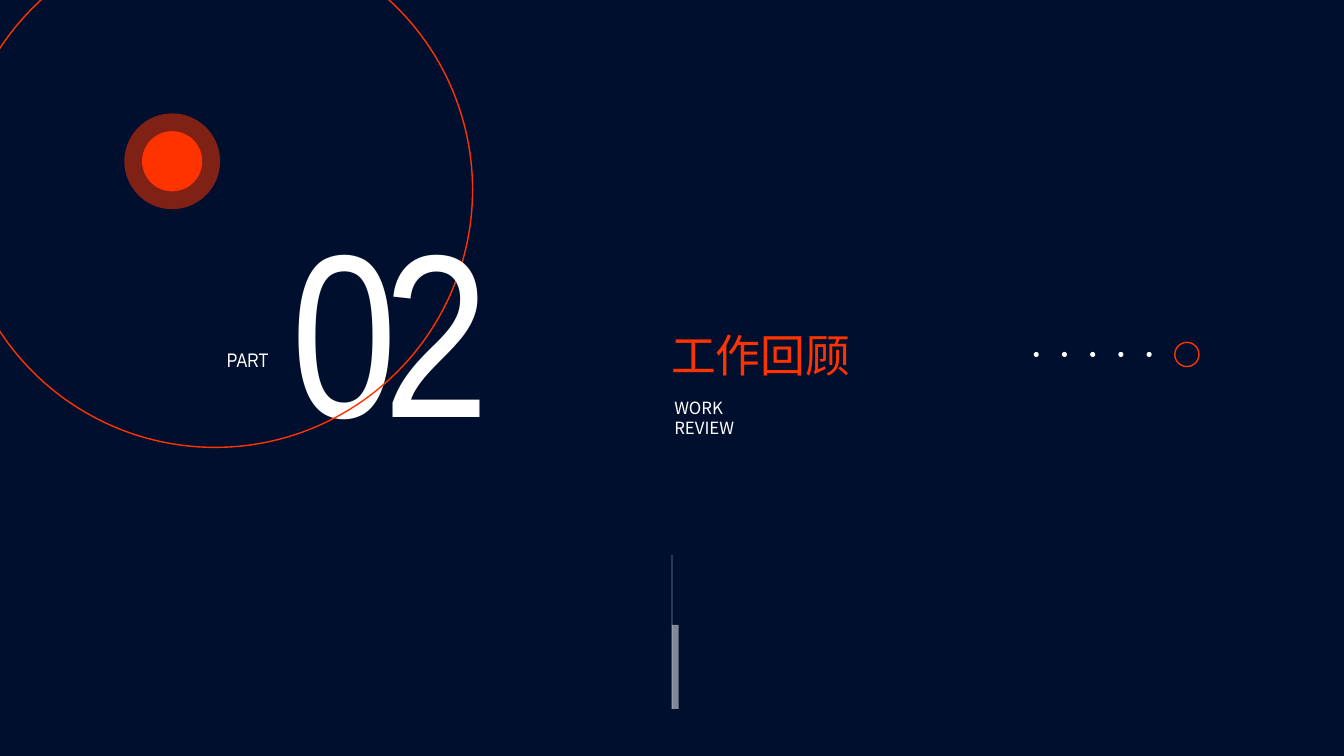
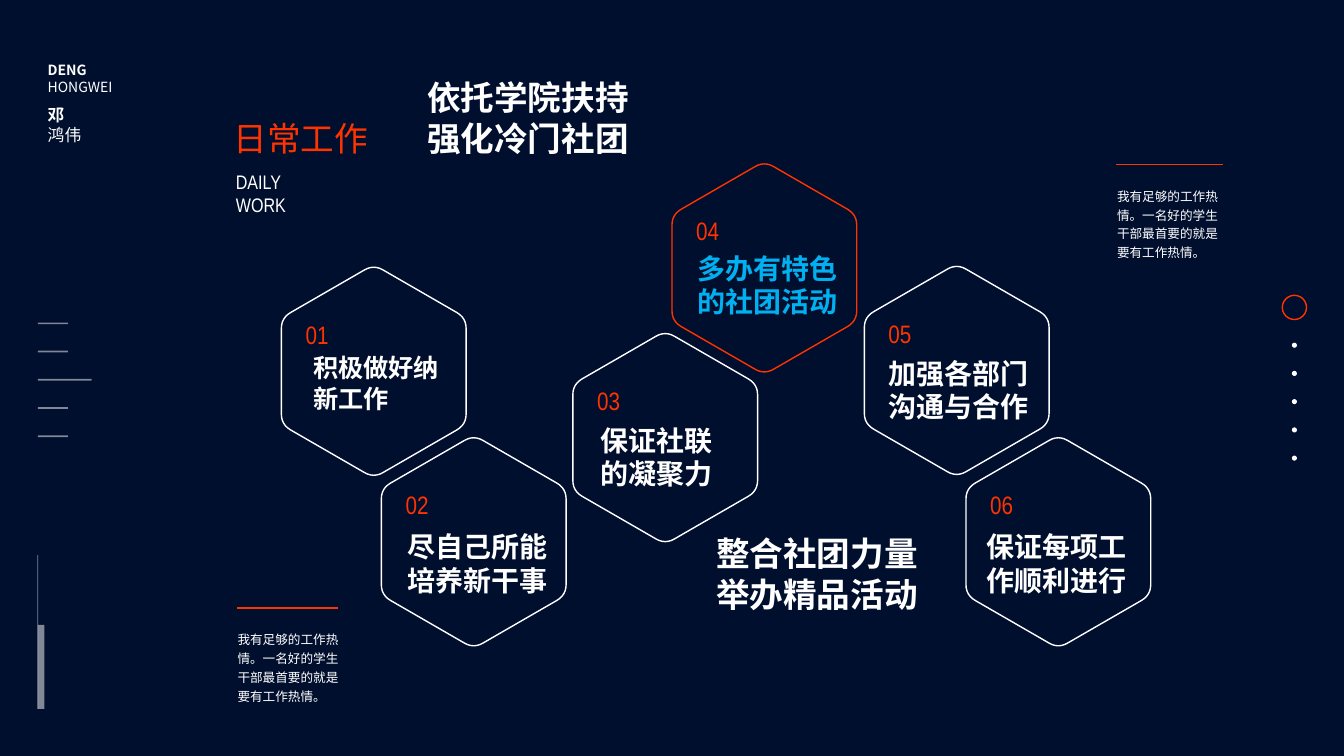
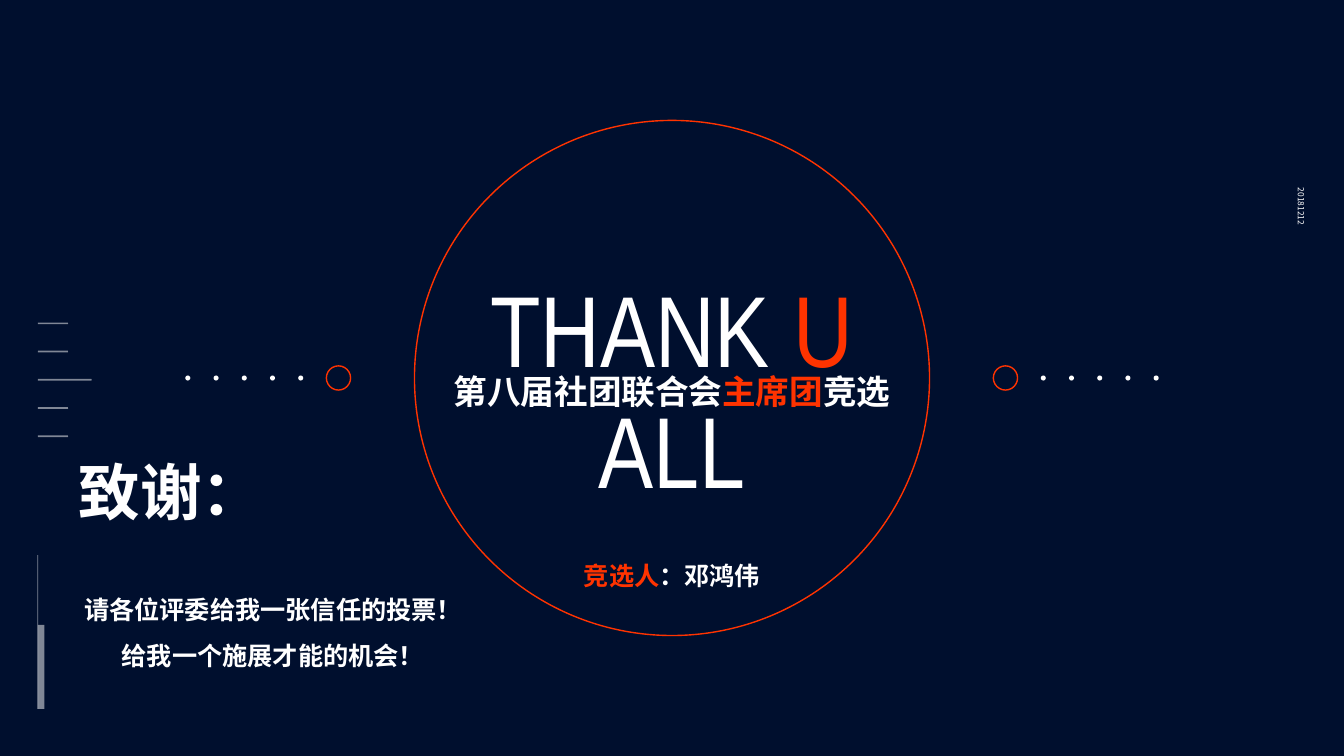
from math import cos, sin, radians

from lxml.etree import SubElement
from pptx import Presentation
from pptx.dml.color import RGBColor
from pptx.enum.shapes import MSO_CONNECTOR, MSO_SHAPE as Preset
from pptx.enum.text import MSO_ANCHOR, MSO_AUTO_SIZE, PP_ALIGN as Align
from pptx.oxml.ns import qn
from pptx.util import Emu, Pt

COLORS = {"night": "000F2E", "flame": "FF3300", "white": "FFFFFF", "sky": "00B0F0"}
SANS, NARROW = "Noto Sans CJK SC", "Arial Narrow"
COLUMNS, ROWS, CELL = 160, 90, 76200
MARGIN, TRAIL_STEP = 4.5, 3.36


def grid(*cells):
    """Turn counts of grid cells into slide lengths."""
    return [Emu(round(cell * CELL)) for cell in cells]


def rgb(name):
    """Look up a palette colour."""
    return RGBColor.from_string(COLORS[name])


def write(frame, paragraphs, size=12, font=SANS, color="white", bold=False,
          align=Align.LEFT, spacing=1, wrap=True):
    """Fill a text frame; a paragraph is a string or a list of (text, colour, bold) runs."""
    frame.word_wrap = wrap
    frame.auto_size = MSO_AUTO_SIZE.NONE
    frame.vertical_anchor = MSO_ANCHOR.TOP
    for index, content in enumerate(paragraphs):
        paragraph = frame.add_paragraph() if index else frame.paragraphs[0]
        paragraph.alignment, paragraph.line_spacing = align, spacing
        paragraph.space_before = Pt(0)
        pieces = [(content, color, bold)] if isinstance(content, str) else content
        for words, ink, weight in pieces:
            run = paragraph.add_run()
            run.text = words
            run.font.size, run.font.name, run.font.bold = Pt(size), font, weight
            run.font.color.rgb = rgb(ink)
            SubElement(run.font._element, qn("a:ea")).set("typeface", SANS)


class Deck:
    """Holds the shared style and the slide being drawn."""

    def __init__(self):
        """Open a dark wide-screen presentation."""
        self.show = Presentation()
        self.show.slide_width, self.show.slide_height = grid(COLUMNS, ROWS)
        backdrop = self.show.slide_master.background.fill
        backdrop.solid()
        backdrop.fore_color.rgb = rgb("night")

    def start(self, title, box, layout=5, **style):
        """Begin a slide with its title."""
        self.slide = self.show.slides.add_slide(self.show.slide_layouts[layout])
        self.shapes = self.slide.shapes
        self.place(self.shapes.title, box)
        write(self.shapes.title.text_frame, title, **style)

    def place(self, holder, box):
        """Move a placeholder to a grid box."""
        holder.left, holder.top, holder.width, holder.height = grid(*box)

    def body(self, lines, box, **style):
        """Put unbulleted lines in the body placeholder."""
        holder = self.slide.placeholders[1]
        self.place(holder, box)
        write(holder.text_frame, lines, **style)
        for paragraph in holder.text_frame.paragraphs:
            props = paragraph._p.get_or_add_pPr()
            props.set("marL", "0")
            props.set("indent", "0")
            SubElement(props, qn("a:buNone"))

    def text(self, lines, box, **style):
        """Add a text box."""
        frame = self.shapes.add_textbox(*grid(*box)).text_frame
        write(frame, lines, **style)
        return frame

    def fade(self, shape):
        """Make a shape's colours half transparent."""
        for tint in shape._element.iter(qn("a:srgbClr")):
            SubElement(tint, qn("a:alpha")).set("val", "50000")

    def paint(self, shape, fill=None, line=None, faded=False):
        """Set fill, outline and transparency."""
        shape.shadow.inherit = False
        if fill:
            shape.fill.solid()
            shape.fill.fore_color.rgb = rgb(fill)
        else:
            shape.fill.background()
        if line:
            shape.line.color.rgb = rgb(line)
            shape.line.width = Pt(1)
        else:
            shape.line.fill.background()
        if faded:
            self.fade(shape)

    def block(self, preset, box, **look):
        """Add a preset shape."""
        self.paint(self.shapes.add_shape(preset, *grid(*box)), **look)

    def circle(self, x, y, radius, **look):
        """Add a circle around a centre."""
        self.block(Preset.OVAL, (x - radius, y - radius, 2 * radius, 2 * radius), **look)

    def rule(self, start, end, color="flame", width=1, faded=False):
        """Add a straight line."""
        line = self.shapes.add_connector(MSO_CONNECTOR.STRAIGHT, *grid(*start, *end))
        line.line.color.rgb = rgb(color)
        line.line.width = Pt(width)
        SubElement(line._element.spPr, qn("a:effectLst"))
        if faded:
            self.fade(line)

    def orbit(self, x, y):
        """Add the large thin ring."""
        self.circle(x, y, 30.66, line="flame")

    def trail(self, x, y, across=0, down=0):
        """Add a small ring followed by five dots in one direction."""
        self.circle(x, y, 1.44, line="flame")
        for step in range(5):
            reach = 4.5 + step * TRAIL_STEP
            self.circle(x + across * reach, y + down * reach, 0.3, fill="white")

    def gauge(self, x):
        """Add the scroll mark near the bottom."""
        self.rule((x, 66.1), (x, 84.4), "white", 0.5, faded=True)
        self.block(Preset.RECTANGLE, (x, 74.4, 0.8, 10), fill="white", faded=True)

    def margin_marks(self):
        """Add the menu dashes and gauge of the left margin."""
        for row, length in enumerate((3.6, 3.6, 6.4, 3.6, 3.6)):
            self.block(Preset.ROUNDED_RECTANGLE,
                       (MARGIN, 38.4 + row * TRAIL_STEP, length, 0.2), fill="white", faded=True)
        self.gauge(MARGIN)

    def hexagon(self, x, y, color, radius=12.7, cut=0.1, steps=6):
        """Add an upright hexagon outline with rounded corners."""
        corners = [(x + radius * sin(radians(turn)), y - radius * cos(radians(turn)))
                   for turn in range(0, 360, 60)]
        points = []
        for index, corner in enumerate(corners):
            before, after = corners[index - 1], corners[(index + 1) % 6]
            for step in range(steps + 1):
                t = step / steps
                pull_back, pull_on = cut * (1 - t) ** 2, cut * t ** 2
                points.append(grid(*(c + pull_back * (b - c) + pull_on * (a - c)
                                     for b, c, a in zip(before, corner, after))))
        outline = self.shapes.build_freeform(*points[0])
        outline.add_line_segments(points[1:], close=True)
        self.paint(outline.convert_to_shape(), line=color)

    def note(self, x, y, length):
        """Add a ruled remark."""
        self.rule((x, y), (x + length, y))
        self.text(["我有足够的工作热情。一名好的学生干部最首要的就是要有工作热情。"],
                  (x - 1.1, y + 1.8, 14.6, 10.1), size=9, spacing=1.25)


def section(deck):
    """Draw the chapter opener."""
    deck.start(["工作回顾"], (78.7, 38.4, 43.7, 7.7), size=32, color="flame")
    deck.circle(20.5, 19.2, 5.7, fill="flame", faded=True)
    deck.circle(20.5, 19.2, 3.5, fill="flame", line="flame")
    digit = dict(size=166, font=NARROW, align=Align.CENTER)
    deck.text(["0"], (30.2, 21.4, 21.6, 34.7), **digit)
    deck.orbit(25.6, 22.6)
    deck.text(["2"], (41.2, 21.4, 21.6, 34.7), **digit)
    deck.text(["WORK", "REVIEW"], (79.1, 46.8, 10, 6), wrap=False)
    deck.trail(141.3, 42.2, across=-1)
    deck.gauge(80)
    deck.text(["PART"], (18.7, 40.8, 21.6, 4.1), size=14, font=NARROW, align=Align.CENTER)


def daily_work(deck):
    """Draw the six tasks."""
    deck.start(["日常工作"], (26.6, 13.4, 25.2, 6), size=24, color="flame")
    deck.text(["DAILY", "WORK"], (26.9, 19.6, 15.1, 6.8), size=14, font=NARROW)
    deck.trail(154.1, 36.6, down=1)
    deck.margin_marks()
    tasks = [
        ((44.5, 44.2), (36.1, 41.4), 19.3, 18, "积极做好纳新工作"),
        ((56.4, 64.5), (47.3, 62.5), 19.3, 20, "尽自己所能培养新干事"),
        ((79.2, 52.1), (70.3, 49.8), 18.5, 20, "保证社联的凝聚力"),
        ((91, 31.9), (81.8, 29.3), 19.3, 20, "多办有特色的社团活动"),
        ((113.9, 44.1), (104.6, 41.8), 19.3, 20, "加强各部门沟通与合作"),
        ((126, 64.5), (116.3, 62.5), 19.3, 20, "保证每项工作顺利进行"),
    ]
    for number, ((x, y), corner, width, size, task) in enumerate(tasks, 1):
        featured = number == 4
        deck.hexagon(x, y, "flame" if featured else "white")
        deck.text([f"{number:02}"], (x - 9.3, y - 6.8, 7, 4.8),
                  size=18, font=NARROW, color="flame")
        deck.text([task], (*corner, width, 9.2), size=size, bold=True,
                  color="sky" if featured else "white")
    deck.note(28.2, 72.4, 12)
    deck.note(132.9, 19.6, 12.7)
    deck.text([[("DENG", "white", True)], "HONGWEI"], (MARGIN, 6.7, 14.3, 5.3), size=10)
    deck.text([[("邓", "white", True)], "鸿伟"], (MARGIN, 11.9, 9.2, 6))
    slogan = dict(size=24, bold=True, align=Align.CENTER)
    deck.text(["依托学院扶持", "强化冷门社团"], (47.3, 8.6, 31.1, 10.9), **slogan)
    deck.text(["整合社团力量", "举办精品活动"], (81.7, 62.9, 31.1, 13.3), **slogan)


def thanks(deck):
    """Draw the closing slide."""
    deck.start([[("THANK ", "white", False), ("U ", "flame", False), ("ALL", "white", False)]],
               (51.2, 31.2, 57.5, 15.7), layout=1, size=72, font=NARROW, align=Align.CENTER)
    deck.body(["请各位评委给我一张信任的投票！", "给我一个施展才能的机会！"],
              (MARGIN, 68.4, 56, 12.1), size=18, bold=True, align=Align.CENTER, spacing=1.5)
    deck.orbit(COLUMNS / 2, ROWS / 2)
    deck.trail(40.3, ROWS / 2, across=-1)
    deck.trail(119.7, ROWS / 2, across=1)
    deck.text([[("竞选人", "flame", True), ("：邓鸿伟", "white", True)]],
              (68.3, 66.1, 23.4, 4.8), size=18, align=Align.CENTER, wrap=False)
    deck.text([[("第八届社团联合会", "white", True), ("主席团", "flame", True),
                ("竞选", "white", True)]],
              (52.8, 43.6, 54.4, 6), size=24, align=Align.CENTER, wrap=False)
    deck.margin_marks()
    date = deck.text(["20181212"], (152.5, 21.2, 3.6, 47.2), size=6, align=Align.JUSTIFY)
    date._txBody.bodyPr.set("vert", "eaVert")
    deck.text(["致谢："], (8.2, 53.4, 20.9, 10.1), size=44, font="Calibri", bold=True)


def main():
    """Build and save the presentation."""
    deck = Deck()
    for draw in (section, daily_work, thanks):
        draw(deck)
    deck.show.save("out.pptx")


if __name__ == "__main__":
    main()
